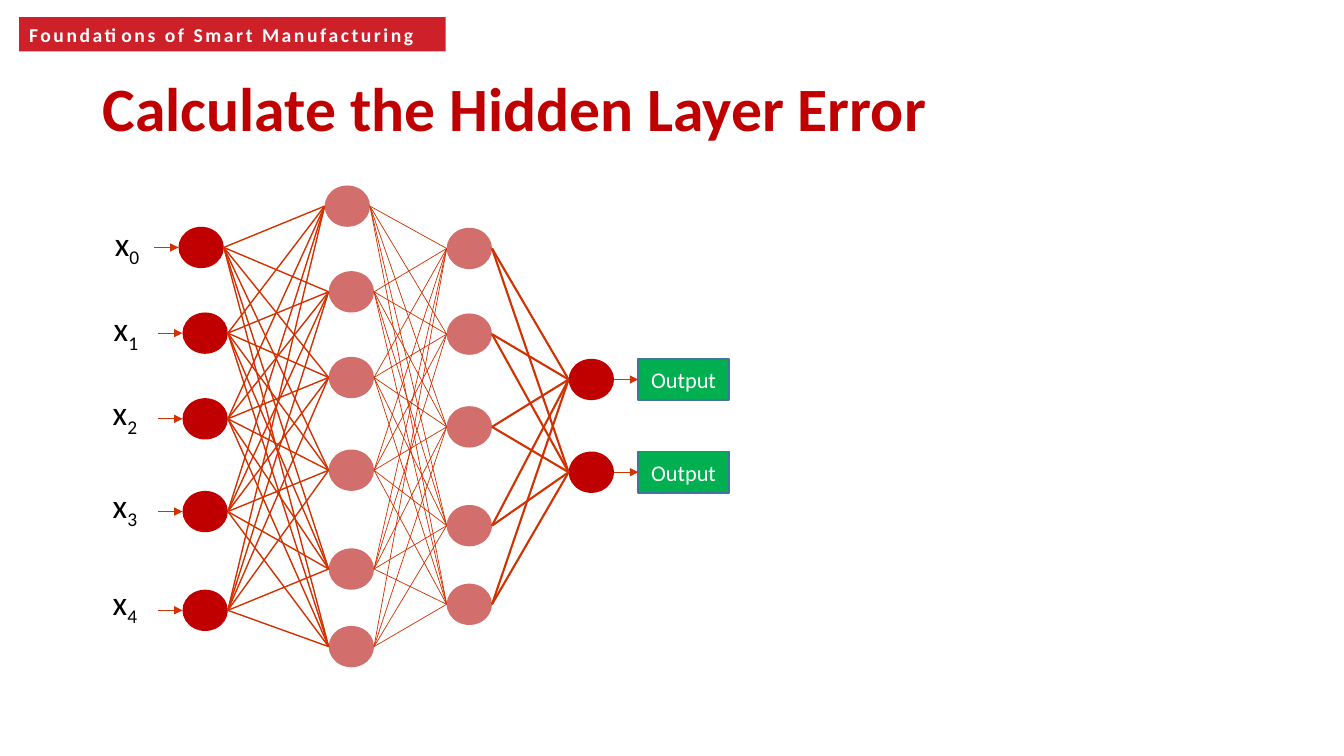
from dataclasses import dataclass
from itertools import product

from lxml import etree
from pptx import Presentation
from pptx.dml.color import RGBColor
from pptx.enum.shapes import MSO_CONNECTOR, MSO_SHAPE
from pptx.enum.text import MSO_ANCHOR, PP_ALIGN
from pptx.oxml.ns import qn
from pptx.util import Inches, Pt

OVAL, RECT = MSO_SHAPE.OVAL, MSO_SHAPE.RECTANGLE
STRAIGHT = MSO_CONNECTOR.STRAIGHT
MIDDLE = MSO_ANCHOR.MIDDLE
LEFT, CENTER = PP_ALIGN.LEFT, PP_ALIGN.CENTER


@dataclass(frozen=True)
class Theme:
    font: str = "Calibri"
    banner: RGBColor = RGBColor(0xCE, 0x20, 0x29)
    strong: RGBColor = RGBColor(0xC0, 0x00, 0x00)
    hidden: RGBColor = RGBColor(0xD2, 0x6E, 0x6C)
    link: RGBColor = RGBColor(0xD2, 0x32, 0x00)
    output: RGBColor = RGBColor(0x00, 0xB0, 0x50)
    output_edge: RGBColor = RGBColor(0x43, 0x73, 0x9E)
    white: RGBColor = RGBColor(0xFF, 0xFF, 0xFF)
    black: RGBColor = RGBColor(0x00, 0x00, 0x00)
    title_size: int = 44
    input_size: int = 24
    output_size: int = 16
    banner_size: int = 14


theme = Theme()
NODE_W, NODE_H = 0.45, 0.41
ARROW_LENGTH = 0.24

prs = Presentation()
prs.slide_width, prs.slide_height = Inches(13.33), Inches(7.5)
slide = prs.slides.add_slide(prs.slide_layouts[5])


def add_block(kind, left, top, width, height, fill):
    block = slide.shapes.add_shape(
        kind, Inches(left), Inches(top), Inches(width), Inches(height))
    block.shadow.inherit = False
    block.fill.solid()
    block.fill.fore_color.rgb = fill
    block.line.fill.background()
    return block


def add_link(start, end, weight, arrow=False):
    link = slide.shapes.add_connector(STRAIGHT, *map(Inches, start + end))
    link.line.color.rgb = theme.link
    link.line.width = Pt(weight)
    if arrow:
        etree.SubElement(link.line._get_or_add_ln(), qn("a:tailEnd"), type="triangle")
    etree.SubElement(link._element.spPr, qn("a:effectLst"))


banner = add_block(RECT, 0.19, 0.17, 4.23, 0.34, theme.banner)
banner.text_frame.word_wrap = True
banner.text_frame.vertical_anchor = MIDDLE
course = banner.text_frame.paragraphs[0]
course.alignment = LEFT
course_run = course.add_run()
course_run.text = "Foundations of Smart Manufacturing"
course_run._r.get_or_add_rPr().set("spc", "180")
course.font.name, course.font.size = theme.font, Pt(theme.banner_size)
course.font.bold = True
course.font.color.rgb = theme.white

title = slide.shapes.title
title.left, title.top = Inches(0.92), Inches(0.71)
title.width, title.height = Inches(12.42), Inches(0.79)
title.text_frame.text = "Calculate the Hidden Layer Error"
title.text_frame.vertical_anchor = MIDDLE
heading = title.text_frame.paragraphs[0]
heading.alignment = LEFT
heading.line_spacing = 0.9
heading.font.name, heading.font.size = theme.font, Pt(theme.title_size)
heading.font.bold = True
heading.font.color.rgb = theme.strong

inputs = [(1.77, 2.25)] + [(1.81, top) for top in (3.1, 3.95, 4.87, 5.85)]
first_hidden = [(3.22, 1.84)] + [(3.26, top) for top in (2.69, 3.54, 4.46, 5.44, 6.21)]
second_hidden = [(4.43, top) for top in (2.26, 3.11, 4.03, 5.01, 5.79)]
outputs = [(5.64, top) for top in (3.56, 4.48)]

for layer, color in ((inputs, theme.strong), (first_hidden, theme.hidden),
                     (second_hidden, theme.hidden), (outputs, theme.strong)):
    for left, top in layer:
        add_block(OVAL, left, top, NODE_W, NODE_H, color)

unlinked = (first_hidden[5], second_hidden[1])
for sources, targets, weight in ((inputs, first_hidden, 1),
                                 (first_hidden, second_hidden, 0.5),
                                 (second_hidden, outputs, 1.5)):
    for source, target in product(sources, targets):
        if (source, target) != unlinked:
            add_link((source[0] + NODE_W, source[1] + NODE_H / 2),
                     (target[0], target[1] + NODE_H / 2), weight)

for left, top in outputs:
    result = add_block(RECT, 6.33, top, 0.9, NODE_H, theme.output)
    result.line.color.rgb = theme.output_edge
    result.line.width = Pt(1)
    result.text_frame.text = "Output"
    result.text_frame.vertical_anchor = MIDDLE
    caption = result.text_frame.paragraphs[0]
    caption.alignment = CENTER
    caption.font.name, caption.font.size = theme.font, Pt(theme.output_size)
    caption.font.color.rgb = theme.white
    center = top + NODE_H / 2
    add_link((left + NODE_W, center), (left + NODE_W + ARROW_LENGTH, center), 0.5, True)

label_places = [(1.04, 2.16), (1.03, 3.01), (1.02, 3.84), (1.02, 4.76), (1.02, 5.72)]
for index, ((left, top), (label_left, label_top)) in enumerate(zip(inputs, label_places)):
    center = top + NODE_H / 2
    add_link((left - ARROW_LENGTH, center), (left, center), 0.5, True)
    label = slide.shapes.add_textbox(
        Inches(label_left), Inches(label_top), Inches(0.47), Inches(0.5))
    label.text_frame.word_wrap = True
    symbol = label.text_frame.paragraphs[0]
    symbol.add_run().text = "x"
    subscript = symbol.add_run()
    subscript.text = str(index)
    subscript._r.get_or_add_rPr().set("baseline", "-25000")
    symbol.font.name, symbol.font.size = theme.font, Pt(theme.input_size)
    symbol.font.color.rgb = theme.black

prs.save("out.pptx")
